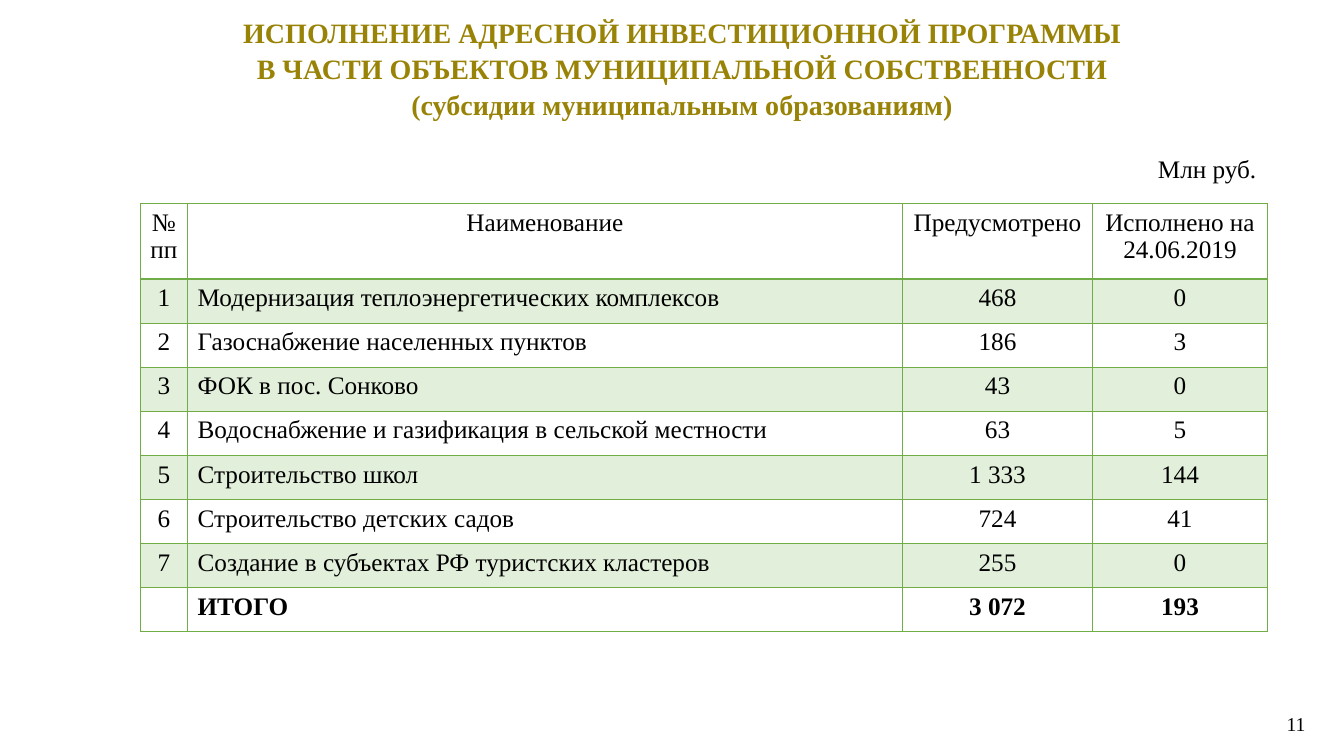
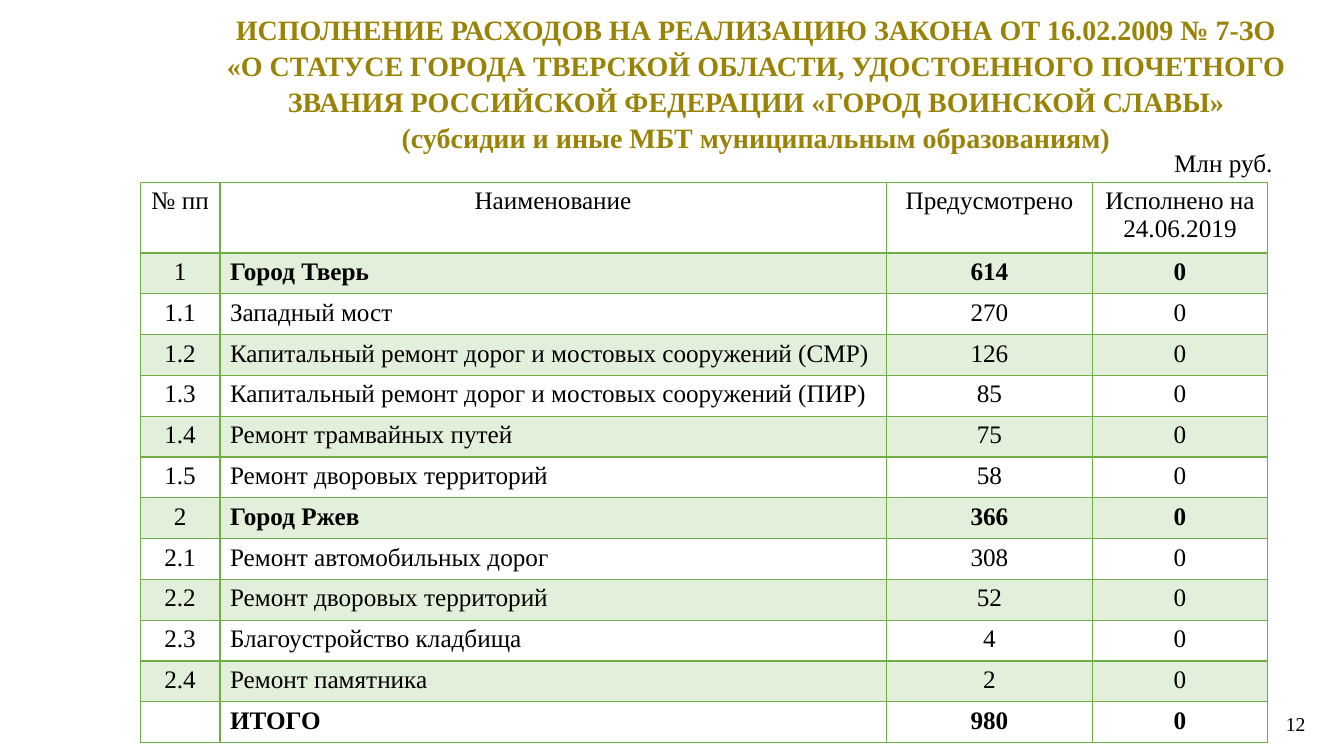
from lxml.etree import SubElement
from pptx import Presentation
from pptx.dml.color import RGBColor
from pptx.enum.text import MSO_ANCHOR, MSO_AUTO_SIZE, PP_ALIGN
from pptx.oxml.ns import qn
from pptx.util import Pt

COLORS = {"title": "998307", "text": "000000", "line": "70AD47", "band": "E2EFDA"}
FONT = "Times New Roman"
HEADER = ("№ пп", "Наименование", "Предусмотрено", "Исполнено на 24.06.2019")
UNIT = "Млн руб."
TABLE_LEFT = 100.2

SLIDES = [
    {
        "title": [
            "ИСПОЛНЕНИЕ АДРЕСНОЙ ИНВЕСТИЦИОННОЙ ПРОГРАММЫ",
            "В ЧАСТИ ОБЪЕКТОВ МУНИЦИПАЛЬНОЙ СОБСТВЕННОСТИ",
            "(субсидии муниципальным образованиям)",
        ],
        "title_box": (120, 6, 734.4, 84),
        "unit_at": (820, 105.8),
        "table_top": 145.4,
        "columns": (33.8, 510.5, 136.1, 124.6),
        "header_height": 54,
        "row_height": 31.5,
        "number": "11",
        "bold": {"ИТОГО"},
        "rows": [
            ("1", "Модернизация теплоэнергетических комплексов", "468", "0"),
            ("2", "Газоснабжение населенных пунктов", "186", "3"),
            ("3", "ФОК в пос. Сонково", "43", "0"),
            ("4", "Водоснабжение и газификация в сельской местности", "63", "5"),
            ("5", "Строительство школ", "1 333", "144"),
            ("6", "Строительство детских садов", "724", "41"),
            ("7", "Создание в субъектах РФ туристских кластеров", "255", "0"),
            ("", "ИТОГО", "3 072", "193"),
        ],
    },
    {
        "title": [
            "ИСПОЛНЕНИЕ РАСХОДОВ НА РЕАЛИЗАЦИЮ ЗАКОНА ОТ 16.02.2009 № 7-ЗО",
            "«О СТАТУСЕ ГОРОДА ТВЕРСКОЙ ОБЛАСТИ, УДОСТОЕННОГО ПОЧЕТНОГО "
            "ЗВАНИЯ РОССИЙСКОЙ ФЕДЕРАЦИИ «ГОРОД ВОИНСКОЙ СЛАВЫ»",
            "(субсидии и иные МБТ муниципальным образованиям)",
        ],
        "title_box": (120, 6, 840, 105),
        "unit_at": (831.6, 101.5),
        "table_top": 130.3,
        "columns": (56.9, 475.9, 147.6, 124.6),
        "header_height": 50.4,
        "row_height": 29.16,
        "number": "12",
        "bold": {"Город Тверь", "Город Ржев", "ИТОГО"},
        "rows": [
            ("1", "Город Тверь", "614", "0"),
            ("1.1", "Западный мост", "270", "0"),
            ("1.2", "Капитальный ремонт дорог и мостовых сооружений (СМР)", "126", "0"),
            ("1.3", "Капитальный ремонт дорог и мостовых сооружений (ПИР)", "85", "0"),
            ("1.4", "Ремонт трамвайных путей", "75", "0"),
            ("1.5", "Ремонт дворовых территорий", "58", "0"),
            ("2", "Город Ржев", "366", "0"),
            ("2.1", "Ремонт автомобильных дорог", "308", "0"),
            ("2.2", "Ремонт дворовых территорий", "52", "0"),
            ("2.3", "Благоустройство кладбища", "4", "0"),
            ("2.4", "Ремонт памятника", "2", "0"),
            ("", "ИТОГО", "980", "0"),
        ],
    },
]


def rgb(name):
    return RGBColor.from_string(COLORS[name])


def style(p, size, color="text", bold=False, align=PP_ALIGN.LEFT):
    p.alignment = align
    p.font.name = FONT
    p.font.size = Pt(size)
    p.font.bold = bold
    p.font.color.rgb = rgb(color)


def add_title(s, lines, box):
    sp = s.shapes.title
    sp.left, sp.top, sp.width, sp.height = map(Pt, box)
    tf = sp.text_frame
    tf.text = "\n".join(lines)
    tf.word_wrap = True
    tf.auto_size = MSO_AUTO_SIZE.NONE
    tf.vertical_anchor = MSO_ANCHOR.MIDDLE
    for p in tf.paragraphs:
        style(p, 20, "title", True, PP_ALIGN.CENTER)
        p.line_spacing = 1.08
        p.space_before = Pt(0)


def add_label(s, text, box, size, align=PP_ALIGN.LEFT, anchor=MSO_ANCHOR.TOP, wrap=True):
    tf = s.shapes.add_textbox(*map(Pt, box)).text_frame
    tf.text = text
    tf.word_wrap = wrap
    tf.vertical_anchor = anchor
    style(tf.paragraphs[0], size, align=align)


def add_borders(cell, top, bottom):
    tcPr = cell._tc.get_or_add_tcPr()
    for side, width in (("L", 1), ("R", 1), ("T", top), ("B", bottom)):
        ln = SubElement(tcPr, qn(f"a:ln{side}"), w=str(Pt(width)))
        fill = SubElement(ln, qn("a:solidFill"))
        SubElement(fill, qn("a:srgbClr"), val=COLORS["line"])


def add_budget_table(s, data):
    rows = [HEADER] + data["rows"]
    columns = data["columns"]
    heights = [data["header_height"]] + [data["row_height"]] * len(data["rows"])
    box = (TABLE_LEFT, data["table_top"], sum(columns), sum(heights))
    table = s.shapes.add_table(len(rows), len(columns), *map(Pt, box)).table
    table.first_row = table.horz_banding = False
    for column, width in zip(table.columns, columns):
        column.width = Pt(width)
    for i, (row, height) in enumerate(zip(rows, heights)):
        table.rows[i].height = Pt(height)
        for j, text in enumerate(row):
            cell = table.cell(i, j)
            cell.text = text
            add_borders(cell, 2 if i == 1 else 1, 2 if i == 0 else 1)
            if i % 2:
                cell.fill.solid()
                cell.fill.fore_color.rgb = rgb("band")
            else:
                cell.fill.background()
            bold = j > 0 and row[1] in data["bold"]
            align = PP_ALIGN.LEFT if i and j == 1 else PP_ALIGN.CENTER
            style(cell.text_frame.paragraphs[0], 18, bold=bold, align=align)


def main():
    prs = Presentation()
    prs.slide_width, prs.slide_height = Pt(960), Pt(540)
    for data in SLIDES:
        s = prs.slides.add_slide(prs.slide_layouts[5])
        add_title(s, data["title"], data["title_box"])
        add_label(s, data["number"], (723.6, 502.5, 216, 28.8), 14,
                  PP_ALIGN.RIGHT, MSO_ANCHOR.MIDDLE)
        add_budget_table(s, data)
        add_label(s, UNIT, (*data["unit_at"], 90.7, 28.8), 18, wrap=False)
    prs.save("out.pptx")


if __name__ == "__main__":
    main()
